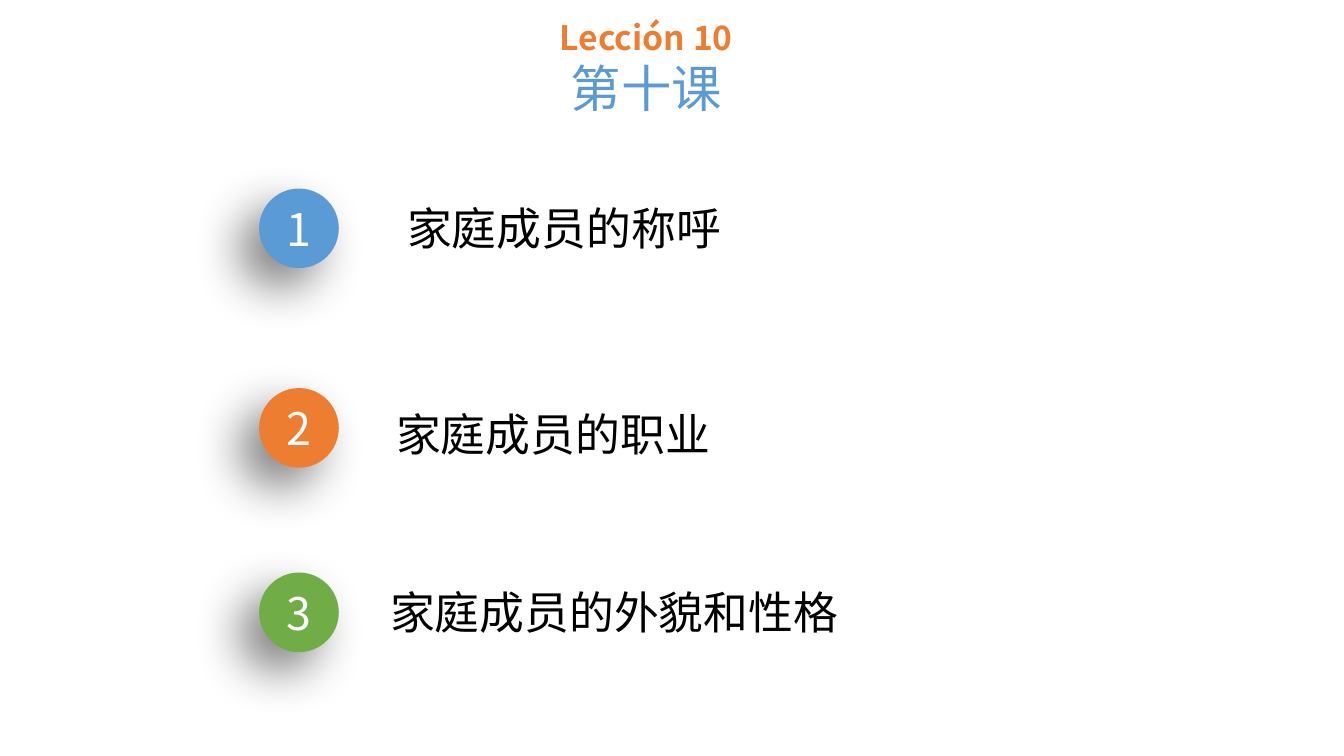
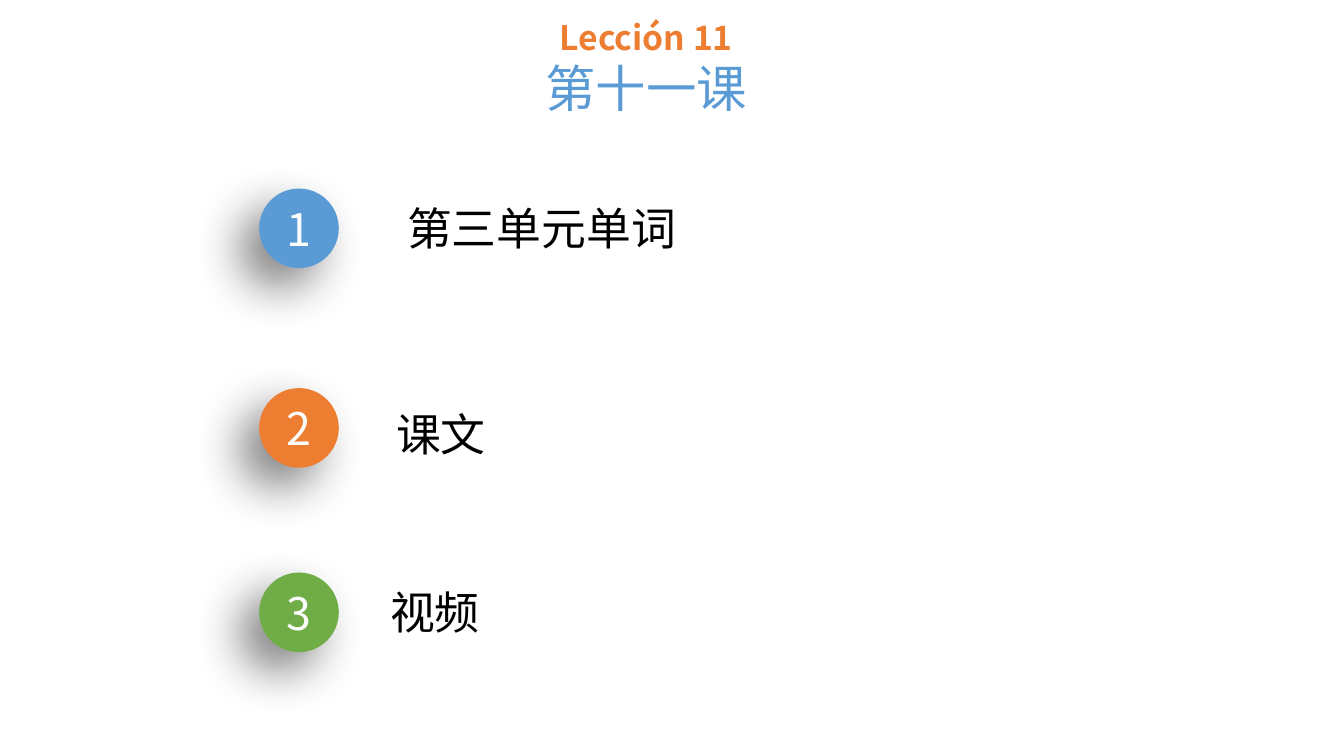
from lxml import etree
from pptx import Presentation
from pptx.dml.color import RGBColor
from pptx.enum import lang, shapes, text
from pptx.oxml.ns import qn
from pptx.util import Inches, Pt

BLUE = RGBColor(0x5B, 0x9B, 0xD5)
ORANGE = RGBColor(0xED, 0x7D, 0x31)
GREEN = RGBColor(0x70, 0xAD, 0x47)
WHITE = RGBColor(0xFC, 0xFC, 0xFC)
BLACK = RGBColor(0, 0, 0)
HEADING_FONT = "Noto Sans CJK SC"

# Content: Spanish heading, Chinese heading, topics
LESSONS = [
    ("Lección 10", "第十课", ["家庭成员的称呼", "家庭成员的职业", "家庭成员的外貌和性格"]),
    ("Lección 11", "第十一课", ["第三单元单词", "课文", "视频"]),
]

# Shared formats
CHINESE = lang.MSO_LANGUAGE_ID.SIMPLIFIED_CHINESE
SPANISH_STYLE = {"name": HEADING_FONT, "size": Pt(24), "bold": True}
CHINESE_STYLE = {"name": "Arial", "size": Pt(36), "bold": False, "language_id": CHINESE}
NUMBER_STYLE = {"name": HEADING_FONT, "size": Pt(32)}
TOPIC_STYLE = {"name": "Calibri", "size": Pt(32), "language_id": CHINESE}

# Rows: badge colour, badge top, topic left, topic top, fixed topic width
ROWS = [
    (BLUE, 1.87, 3.94, 1.94, 5),
    (ORANGE, 3.85, 3.83, 3.99, None),
    (GREEN, 5.68, 3.77, 5.75, None),
]
BADGE_LEFT, BADGE_SIZE = 2.57, 0.79
TOPIC_HEIGHT = 0.64
CHARACTER_WIDTH, SIDE_MARGINS = 0.45, 0.2


def write(paragraph, words, style, color, align):
    paragraph.alignment = align
    run = paragraph.add_run()
    run.text = words
    for name, value in style.items():
        setattr(run.font, name, value)
    run.font.color.rgb = color


def add_shadow(shape):
    """Give the shape a soft black shadow to the lower left."""
    shape.shadow.inherit = False
    effects = shape._element.spPr.find(qn("a:effectLst"))
    shadow = etree.SubElement(effects, qn("a:outerShdw"), {
        "blurRad": str(Pt(35)), "dist": str(Pt(20)), "dir": str(135 * 60000),
        "algn": "tr", "rotWithShape": "0"})
    color = etree.SubElement(shadow, qn("a:srgbClr"), val="000000")
    etree.SubElement(color, qn("a:alpha"), val="50000")


def add_title(slide, spanish, chinese):
    title = slide.shapes.title
    title.left, title.top = Inches(1.55), Inches(0.12)
    title.width, title.height = Inches(9.72), Inches(1.11)
    frame = title.text_frame
    frame.auto_size = text.MSO_AUTO_SIZE.NONE
    frame.vertical_anchor = text.MSO_ANCHOR.TOP
    center = text.PP_ALIGN.CENTER
    write(frame.paragraphs[0], spanish, SPANISH_STYLE, ORANGE, center)
    write(frame.add_paragraph(), chinese, CHINESE_STYLE, BLUE, center)


def add_badge(slide, number, color, top):
    badge = slide.shapes.add_shape(
        shapes.MSO_SHAPE.OVAL, Inches(BADGE_LEFT), Inches(top),
        Inches(BADGE_SIZE), Inches(BADGE_SIZE))
    badge.fill.solid()
    badge.fill.fore_color.rgb = color
    badge.line.fill.background()
    add_shadow(badge)
    frame = badge.text_frame
    frame.vertical_anchor = text.MSO_ANCHOR.MIDDLE
    write(frame.paragraphs[0], str(number), NUMBER_STYLE, WHITE, text.PP_ALIGN.CENTER)


def add_topic(slide, topic, left, top, width):
    # Without a fixed width, the box fits its characters and margins
    box_width = width or len(topic) * CHARACTER_WIDTH + SIDE_MARGINS
    box = slide.shapes.add_textbox(
        Inches(left), Inches(top), Inches(box_width), Inches(TOPIC_HEIGHT))
    frame = box.text_frame
    frame.word_wrap = width is not None
    frame.auto_size = text.MSO_AUTO_SIZE.SHAPE_TO_FIT_TEXT
    write(frame.paragraphs[0], topic, TOPIC_STYLE, BLACK, text.PP_ALIGN.LEFT)


def main():
    presentation = Presentation()
    presentation.slide_width, presentation.slide_height = Inches(13.33), Inches(7.5)
    for spanish, chinese, topics in LESSONS:
        slide = presentation.slides.add_slide(presentation.slide_layouts[5])
        add_title(slide, spanish, chinese)
        for number, (topic, row) in enumerate(zip(topics, ROWS), 1):
            color, badge_top, left, top, width = row
            add_badge(slide, number, color, badge_top)
            add_topic(slide, topic, left, top, width)
    presentation.save("out.pptx")


if __name__ == "__main__":
    main()
